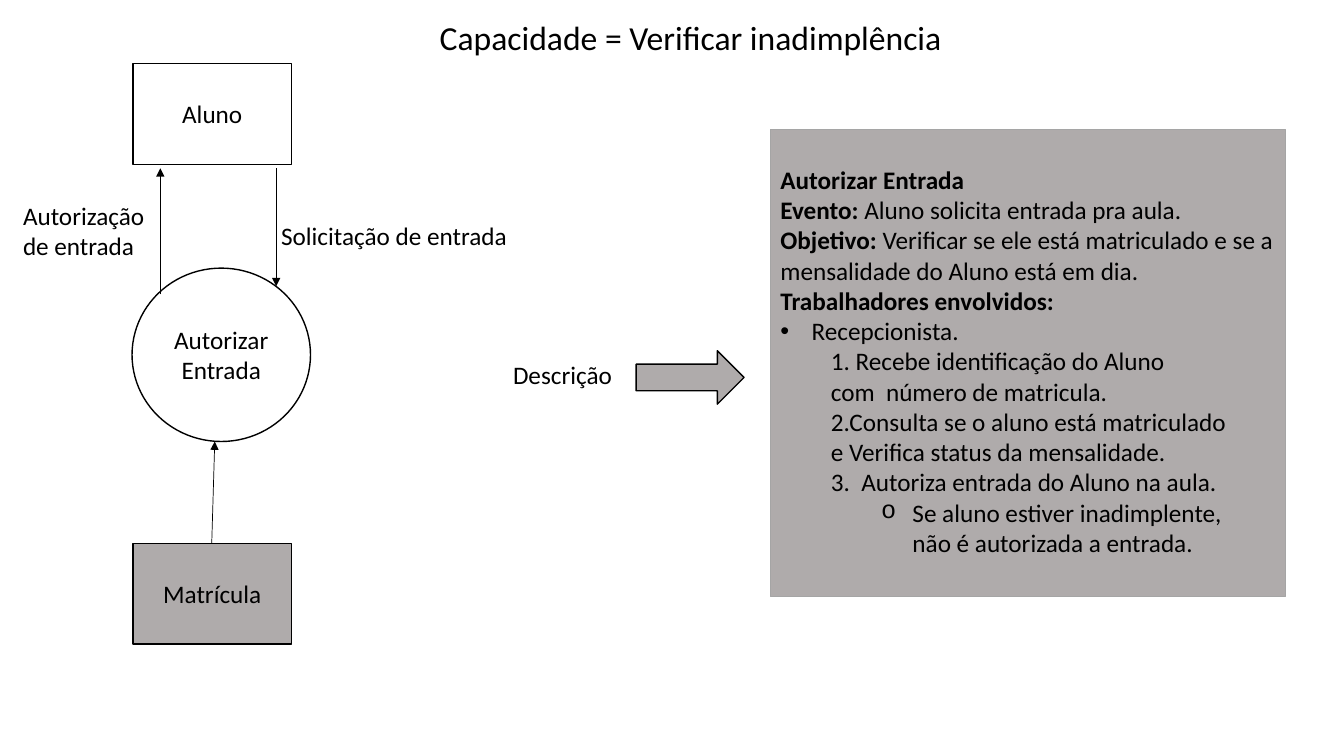
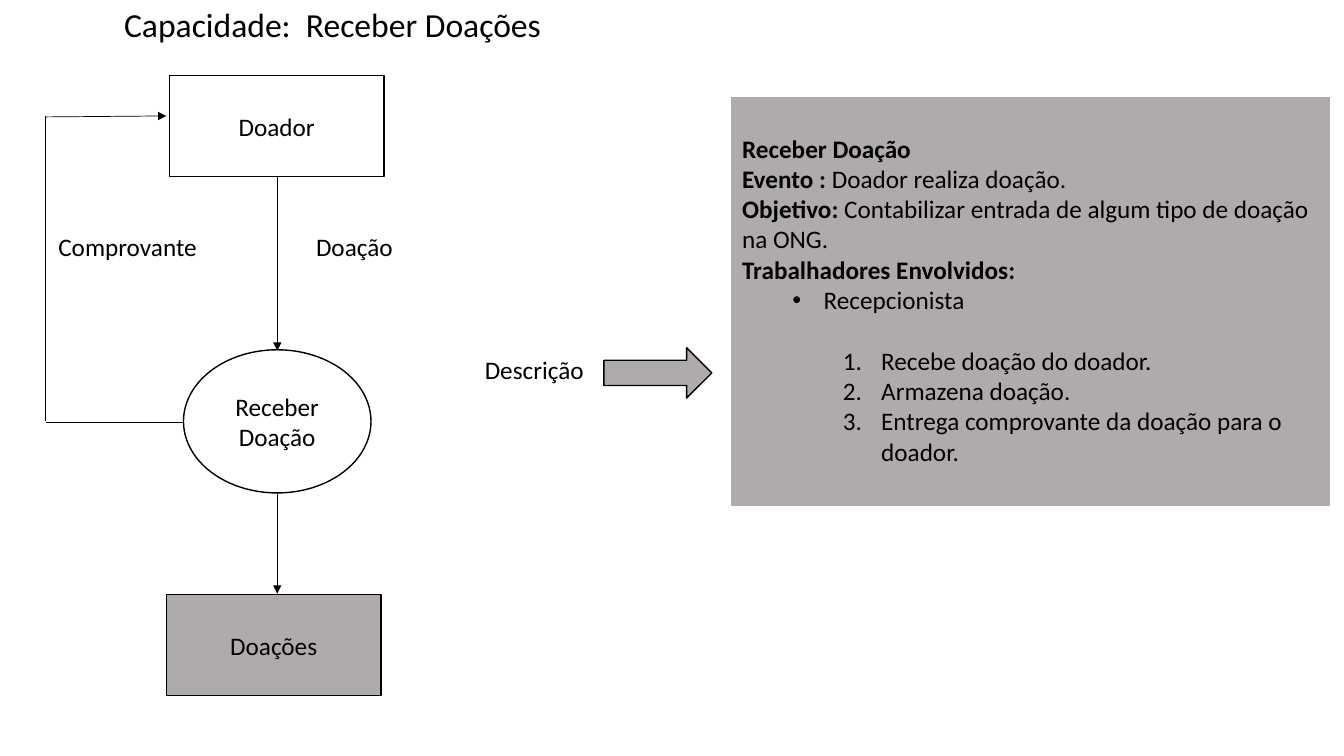
"""Build two slides that each pair a process flow with its description."""
from lxml import etree
from pptx import Presentation
from pptx.dml.color import RGBColor
from pptx.enum import shapes, text
from pptx.oxml import ns
from pptx.util import Inches, Pt

BLACK = RGBColor(0, 0, 0)
WHITE = RGBColor(255, 255, 255)
GRAY = RGBColor(0xAF, 0xAB, 0xAB)
EDGE = RGBColor(0xA5, 0xA5, 0xA5)
FONT = "Calibri"
LEFT, MID = text.PP_ALIGN.LEFT, text.PP_ALIGN.CENTER
KIND = shapes.MSO_SHAPE
BOX, OVAL, ARROW = KIND.RECTANGLE, KIND.OVAL, KIND.RIGHT_ARROW

# style: level, left margin, indent, bullet tag, bullet attributes, bullet font
STYLES = {
    "plain": (0, 0, 0, "buNone", {}, None),
    "dot": (0, 0.31, -0.31, "buChar", {"char": "•"}, "Arial"),
    "dot in": (1, 0.81, -0.31, "buChar", {"char": "•"}, "Arial"),
    "step": (1, 0.5, 0, "buNone", {}, None),
    "ring": (2, 1.31, -0.31, "buChar", {"char": "o"}, "Courier New"),
    "count": (2, 1.38, -0.38, "buAutoNum", {"type": "arabicPeriod"}, None),
}

SLIDES = [
    {
        "title": ("Capacidade = Verificar inadimplência", (3.24, 0.12, 7.22, 0.5), MID),
        "nodes": [
            (BOX, "Aluno", (1.32, 0.63, 1.57, 1), WHITE),
            (BOX, "Matrícula", (1.32, 5.39, 1.57, 1), GRAY),
            (OVAL, "Autorizar\nEntrada", (1.31, 2.66, 1.77, 1.72), WHITE),
            (ARROW, "", (6.31, 3.48, 1.07, 0.53), GRAY),
        ],
        "lines": [
            ((2.74, 1.67), (2.74, 2.84), True),
            ((2.1, 5.39), (2.13, 4.38), True),
            ((1.59, 2.92), (1.59, 1.67), True),
        ],
        "labels": [
            ("Solicitação de entrada", (2.69, 2.14, 3, 0.4), LEFT),
            ("Autorização de entrada", (0.13, 1.94, 1.45, 0.71), LEFT),
            ("Descrição", (4.99, 3.52, 1.3, 0.4), LEFT),
        ],
        "panel": ((7.64, 1.28, 5.11, 4.64), EDGE, 0.5),
        "notes": [
            ("plain", "Autorizar Entrada", "", 0),
            ("plain", "Evento: ", "Aluno solicita entrada pra aula.", 0),
            ("plain", "Objetivo: ", "Verificar se ele está matriculado e se a "
             "mensalidade do Aluno está em dia.", 0),
            ("plain", "Trabalhadores envolvidos:", "", 0),
            ("dot", "", "Recepcionista.", 0),
            ("step", "", "1. Recebe identificação do Aluno "
             "com\u00a0\u00a0número de matricula.", 0),
            ("step", "", "2.Consulta se o aluno está matriculado "
             "e\u00a0Verifica status da mensalidade.", 0),
            ("step", "", "3.\u00a0\u00a0Autoriza entrada do Aluno na aula.", 0),
            ("ring", "", "Se aluno estiver inadimplente, "
             "não\u00a0é autorizada a entrada.", 0),
        ],
    },
    {
        "title": ("Capacidade:\u00a0 Receber Doações", (1.13, -0.01, 5.43, 0.5), LEFT),
        "nodes": [
            (BOX, "Doador", (1.68, 0.75, 2.13, 1), WHITE),
            (BOX, "Doações", (1.65, 5.9, 2.13, 1), GRAY),
            (OVAL, "Receber\nDoação", (1.82, 3.47, 1.86, 1.42), WHITE),
            (ARROW, "", (5.99, 3.45, 1.07, 0.5), GRAY),
        ],
        "lines": [
            ((2.75, 1.75), (2.75, 3.48), True),
            ((2.75, 4.9), (2.75, 5.89), True),
            ((0.45, 1.16), (1.65, 1.15), True),
            ((0.45, 1.15), (0.45, 4.18), False),
            ((0.46, 4.19), (1.82, 4.19), False),
        ],
        "labels": [
            ("Doação", (2.85, 2.25, 1.33, 0.4), MID),
            ("Comprovante", (0.37, 2.25, 1.79, 0.4), MID),
            ("Descrição", (4.71, 3.47, 1.3, 0.4), LEFT),
        ],
        "panel": ((7.26, 0.97, 5.93, 4.04), GRAY, 0.75),
        "notes": [
            ("plain", "Receber Doação", "", 0),
            ("plain", "Evento : ", "Doador realiza doação.", 0),
            ("plain", "Objetivo: ", "Contabilizar entrada de algum tipo de "
             "doação na ONG.", 0),
            ("plain", "Trabalhadores Envolvidos:", "", 0),
            ("dot in", "", "Recepcionista", 0),
            ("count", "", "Recebe doação do doador.", 22),
            ("count", "", "Armazena doação.", 0),
            ("count", "", "Entrega comprovante da doação para o doador.", 0),
        ],
    },
]


def place(shape, area):
    """Move and size a shape."""
    shape.left, shape.top, shape.width, shape.height = map(Inches, area)


def style(para, size=18, align=LEFT):
    """Set the font and alignment of a paragraph."""
    para.alignment = align
    font = para.font
    font.name, font.size = FONT, Pt(size)
    font.color.rgb = BLACK


def write(shape, words, size, align, anchor):
    """Fill a shape with evenly styled text."""
    frame = shape.text_frame
    frame.text = words
    frame.word_wrap = True
    frame.auto_size = text.MSO_AUTO_SIZE.NONE
    frame.vertical_anchor = anchor
    for para in frame.paragraphs:
        style(para, size, align)


def paint(shape, fill, edge, width):
    """Set the fill and outline of a shape."""
    shape.fill.solid()
    shape.fill.fore_color.rgb = fill
    shape.line.color.rgb = edge
    shape.line.width = Pt(width)


def add_node(slide, kind, words, area, fill):
    """Draw one box, circle or block arrow."""
    node = slide.shapes.add_shape(kind, *map(Inches, area))
    node.shadow.inherit = False
    paint(node, fill, BLACK, 1)
    if words:
        write(node, words, 18, MID, text.MSO_ANCHOR.MIDDLE)


def add_line(slide, start, end, head):
    """Draw a thin line, with an arrowhead if asked."""
    line = slide.shapes.add_connector(
        shapes.MSO_CONNECTOR.STRAIGHT, *map(Inches, start + end))
    line.line.color.rgb = BLACK
    line.line.width = Pt(0.5)
    if head:
        etree.SubElement(line.line._get_or_add_ln(), ns.qn("a:tailEnd"), type="triangle")
    etree.SubElement(line._element.spPr, ns.qn("a:effectLst"))


def add_note(para, kind, bold, plain, gap):
    """Write one paragraph of the description."""
    level, left, indent, tag, attrs, face = STYLES[kind]
    para.level = level
    props = para._p.get_or_add_pPr()
    props.set("marL", str(Inches(left)))
    props.set("indent", str(Inches(indent)))
    if face:
        etree.SubElement(props, ns.qn("a:buFont"), typeface=face)
    etree.SubElement(props, ns.qn("a:" + tag), attrs)
    para.space_before, para.space_after = Pt(gap), Pt(0)
    style(para)
    for words, heavy in ((bold, True), (plain, False)):
        if words:
            run = para.add_run()
            run.text, run.font.bold = words, heavy


def fill_panel(panel, area, edge, width, notes):
    """Format the description panel and write its notes."""
    place(panel, area)
    paint(panel, GRAY, edge, width)
    frame = panel.text_frame
    frame.auto_size = text.MSO_AUTO_SIZE.NONE
    frame.vertical_anchor = text.MSO_ANCHOR.TOP
    frame.margin_top = Inches(0.35)
    for i, note in enumerate(notes):
        add_note(frame.add_paragraph() if i else frame.paragraphs[0], *note)


def build(deck, data):
    """Add one slide."""
    slide = deck.slides.add_slide(deck.slide_layouts[1])
    words, area, align = data["title"]
    title, panel = slide.placeholders
    place(title, area)
    write(title, words, 24, align, text.MSO_ANCHOR.TOP)
    for node in data["nodes"]:
        add_node(slide, *node)
    for line in data["lines"]:
        add_line(slide, *line)
    for words, area, align in data["labels"]:
        label = slide.shapes.add_textbox(*map(Inches, area))
        write(label, words, 18, align, text.MSO_ANCHOR.TOP)
    fill_panel(panel, *data["panel"], data["notes"])


deck = Presentation()
deck.slide_width, deck.slide_height = Inches(13.33), Inches(7.5)
for data in SLIDES:
    build(deck, data)
deck.save("out.pptx")
